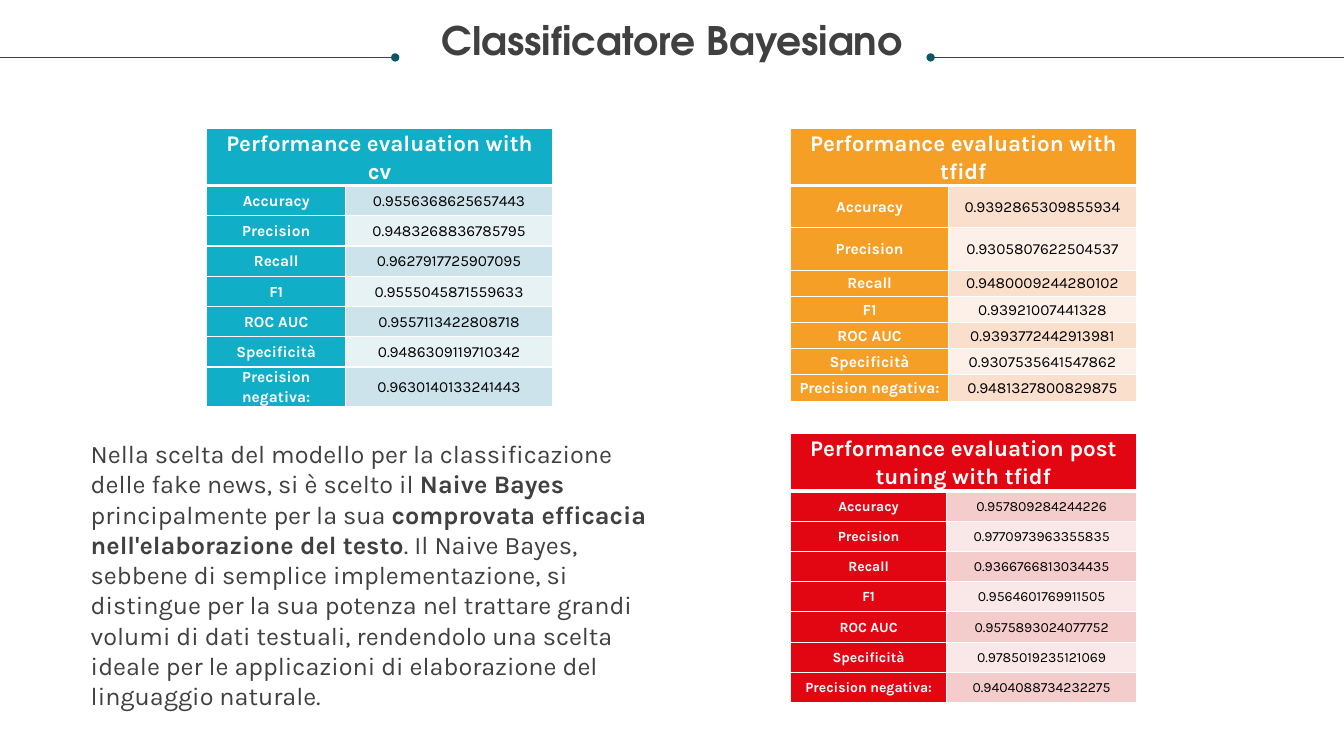
from lxml import etree
from pptx import Presentation
from pptx import util as u
from pptx.dml.color import RGBColor
from pptx.enum import shapes, text
from pptx.oxml import ns

WIDTH, HEIGHT = 13.33, 7.5
TITLE = "Classificatore Bayesiano"
BODY = [
    ("Nella scelta del modello per la classificazione delle fake news, si è scelto il ", False),
    ("Naive Bayes", True),
    (" principalmente per la sua ", False),
    ("comprovata efficacia nell'elaborazione del testo", True),
    (". Il Naive Bayes, sebbene di semplice implementazione, si distingue per la sua "
     "potenza nel trattare grandi volumi di dati testuali, rendendolo una scelta ideale "
     "per le applicazioni di elaborazione del linguaggio naturale.", False),
]
METRICS = ["Accuracy", "Precision", "Recall", "F1", "ROC AUC", "Specificità",
           "Precision negativa:"]
TABLES = [
    dict(title="Performance evaluation with cv", left=2.05, top=1.27,
         columns=[1.38, 2.05], rows=[0.3] * 8, size=11,
         colour="11AEC7", bands=["CCE3EB", "E7F2F5"],
         values=["0.9556368625657443", "0.9483268836785795", "0.9627917725907095",
                 "0.9555045871559633", "0.9557113422808718", "0.9486309119710342",
                 "0.9630140133241443"]),
    dict(title="Performance evaluation with tfidf", left=7.84, top=1.27,
         columns=[1.57, 1.86], rows=[0.26, 0.42, 0.42] + [0.26] * 5, size=11,
         colour="F59F26", bands=["FBDFCD", "FDF0E8"],
         values=["0.9392865309855934", "0.9305807622504537", "0.9480009244280102",
                 "0.93921007441328", "0.9393772442913981", "0.9307535641547862",
                 "0.9481327800829875"]),
    dict(title="Performance evaluation post tuning with tfidf", left=7.84, top=4.3,
         columns=[1.55, 1.88], rows=[0.31] + [0.3] * 7, size=10,
         colour="E20613", bands=["F4CCCC", "FAE7E7"],
         values=["0.957809284244226", "0.9770973963355835", "0.9366766813034435",
                 "0.9564601769911505", "0.9575893024077752", "0.9785019235121069",
                 "0.9404088734232275"]),
]
RULES = [(0, 3.92, "tailEnd"), (9.23, WIDTH, "headEnd")]


def colour(value):
    return RGBColor.from_string(value)


def add_text(paragraph, content, size, fill="404040", bold=False, font="Karla"):
    run = paragraph.add_run()
    run.text = content
    run.font.size = u.Pt(size)
    run.font.name = font
    run.font.bold = bold
    run.font.color.rgb = colour(fill)


def place(shape, left, top, width, height):
    shape.left, shape.top = u.Inches(left), u.Inches(top)
    shape.width, shape.height = u.Inches(width), u.Inches(height)
    frame = shape.text_frame
    frame.word_wrap = True
    frame.vertical_anchor = text.MSO_ANCHOR.TOP
    frame.auto_size = text.MSO_AUTO_SIZE.SHAPE_TO_FIT_TEXT
    return frame


def add_rule(slide, start, end, dot):
    y = u.Inches(0.57)
    line = slide.shapes.add_connector(
        shapes.MSO_CONNECTOR.STRAIGHT, u.Inches(start), y, u.Inches(end), y)
    line.line.color.rgb = colour("085764")
    line.line.width = u.Pt(0.5)
    etree.SubElement(line.line._get_or_add_ln(), ns.qn("a:" + dot), type="oval")
    etree.SubElement(line._element.spPr, ns.qn("a:effectLst"))


def set_borders(cell, top, bottom):
    properties = cell._tc.get_or_add_tcPr()
    widths = dict(lnL=1, lnR=1, lnT=top, lnB=bottom)
    for position, (side, width) in enumerate(widths.items()):
        border = etree.Element(ns.qn("a:" + side), w=str(u.Pt(width)))
        fill = etree.SubElement(border, ns.qn("a:solidFill"))
        etree.SubElement(fill, ns.qn("a:srgbClr"), val="FFFFFF")
        properties.insert(position, border)


def format_cell(cell, content, fill, top=1, bottom=1, **style):
    cell.fill.solid()
    cell.fill.fore_color.rgb = colour(fill)
    cell.margin_left = cell.margin_right = u.Inches(0.07)
    cell.margin_top = cell.margin_bottom = 0
    cell.vertical_anchor = text.MSO_ANCHOR.MIDDLE
    set_borders(cell, top, bottom)
    if content:
        paragraph = cell.text_frame.paragraphs[0]
        paragraph.alignment = text.PP_ALIGN.CENTER
        paragraph.line_spacing = 1.07
        paragraph.space_after = u.Pt(8)
        add_text(paragraph, content, **style)


def add_results(slide, data):
    frame = slide.shapes.add_table(
        len(data["rows"]), 2, u.Inches(data["left"]), u.Inches(data["top"]),
        u.Inches(sum(data["columns"])), u.Inches(sum(data["rows"])))
    table = frame.table
    for column, width in zip(table.columns, data["columns"]):
        column.width = u.Inches(width)
    for row, height in zip(table.rows, data["rows"]):
        row.height = u.Inches(height)
    label = dict(fill="FFFFFF", bold=True)
    table.cell(0, 0).merge(table.cell(0, 1))
    header = [(data["title"], 0), ("", 1)]
    for content, column in header:
        cell = table.cell(0, column)
        write_cell(cell, content, data["colour"], 1, 3, size=16, **label)
    for row, (metric, value) in enumerate(zip(METRICS, data["values"]), 1):
        top = 3 if row == 1 else 1
        write_cell(table.cell(row, 0), metric, data["colour"], top, 1,
                   size=data["size"], **label)
        write_cell(table.cell(row, 1), value, data["bands"][(row - 1) % 2], top, 1,
                   size=data["size"], fill="000000")


def write_cell(cell, content, background, top, bottom, size, fill, bold=False):
    cell.fill.solid()
    cell.fill.fore_color.rgb = colour(background)
    cell.margin_left = cell.margin_right = u.Inches(0.07)
    cell.margin_top = cell.margin_bottom = 0
    cell.vertical_anchor = text.MSO_ANCHOR.MIDDLE
    set_borders(cell, top, bottom)
    if content:
        paragraph = cell.text_frame.paragraphs[0]
        paragraph.alignment = text.PP_ALIGN.CENTER
        paragraph.line_spacing = 1.07
        paragraph.space_after = u.Pt(8)
        add_text(paragraph, content, size, fill, bold)


def main():
    presentation = Presentation()
    presentation.slide_width = u.Inches(WIDTH)
    presentation.slide_height = u.Inches(HEIGHT)
    slide = presentation.slides.add_slide(presentation.slide_layouts[1])

    title = place(slide.shapes.title, 0.25, 0.21, WIDTH - 0.5, 0.42)
    title.margin_left = title.margin_right = title.margin_top = title.margin_bottom = 0
    heading = title.paragraphs[0]
    heading.alignment = text.PP_ALIGN.CENTER
    heading.line_spacing = 0.9
    add_text(heading, TITLE, 28, bold=True, font="TeX Gyre Adventor")

    body = place(slide.placeholders[1], 0.8, 4.3, 5.93, 2.52).paragraphs[0]
    properties = body._p.get_or_add_pPr()
    properties.set("marL", "0")
    properties.set("indent", "0")
    etree.SubElement(properties, ns.qn("a:buNone"))
    body.space_before = u.Pt(0)
    for content, bold in BODY:
        add_text(body, content, 18, bold=bold)

    for rule in RULES:
        add_rule(slide, *rule)
    for data in TABLES:
        add_results(slide, data)
    presentation.save("out.pptx")


if __name__ == "__main__":
    main()
